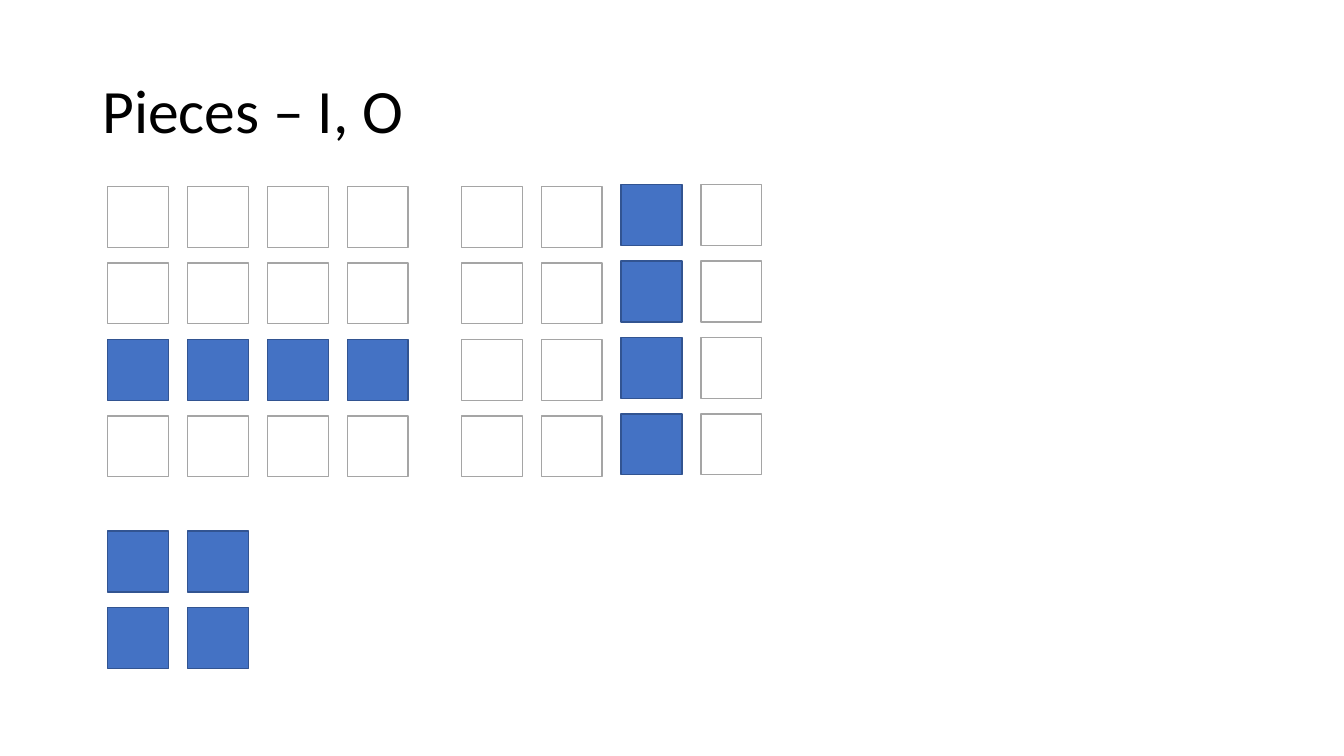
from pptx import Presentation
from pptx.dml.color import RGBColor
from pptx.enum import shapes, text
from pptx.util import Pt

BLACK = RGBColor(0x00, 0x00, 0x00)
WHITE = RGBColor(0xFF, 0xFF, 0xFF)
GRAY = RGBColor(0xA5, 0xA5, 0xA5)
BLUE = RGBColor(0x44, 0x72, 0xC4)
NAVY = RGBColor(0x32, 0x54, 0x91)

SIDE = 43.5  # edge of one cell
STEP_X = 57
STEP_Y = 54.6

deck = Presentation()
deck.slide_width, deck.slide_height = Pt(960), Pt(540)
slide = deck.slides.add_slide(deck.slide_layouts[6])


def write(words, left, top, width, height, size=44, font="Calibri", color=BLACK):
    box = slide.shapes.add_textbox(Pt(left), Pt(top), Pt(width), Pt(height))
    frame = box.text_frame
    frame.word_wrap = True
    frame.vertical_anchor = text.MSO_ANCHOR.MIDDLE
    para = frame.paragraphs[0]
    para.line_spacing = 0.9
    run = para.add_run()
    run.text = words
    run.font.size = Pt(size)
    run.font.name = font
    run.font.color.rgb = color


# Title
write("Pieces – I, O", 66, 28.75, 828, 104.4)

# Pieces: left, top and rows of cells, where # is a filled cell
pieces = [
    (77, 133.2, ["....", "....", "####", "...."]),  # I lying
    (329.6, 133.2, [".."] * 4),                     # I standing, left half
    (443.6, 131.8, ["#."] * 4),                     # I standing, right half
    (77, 379.3, ["##"] * 2),                        # O
]
for left, top, rows in pieces:
    for r, row in enumerate(rows):
        for c, mark in enumerate(row):
            cell = slide.shapes.add_shape(
                shapes.MSO_SHAPE.RECTANGLE,
                Pt(left + c * STEP_X), Pt(top + r * STEP_Y), Pt(SIDE), Pt(SIDE))
            cell.shadow.inherit = False
            cell.fill.solid()
            cell.fill.fore_color.rgb = BLUE if mark == "#" else WHITE
            cell.line.color.rgb = NAVY if mark == "#" else GRAY
            cell.line.width = Pt(1)

deck.save("out.pptx")
